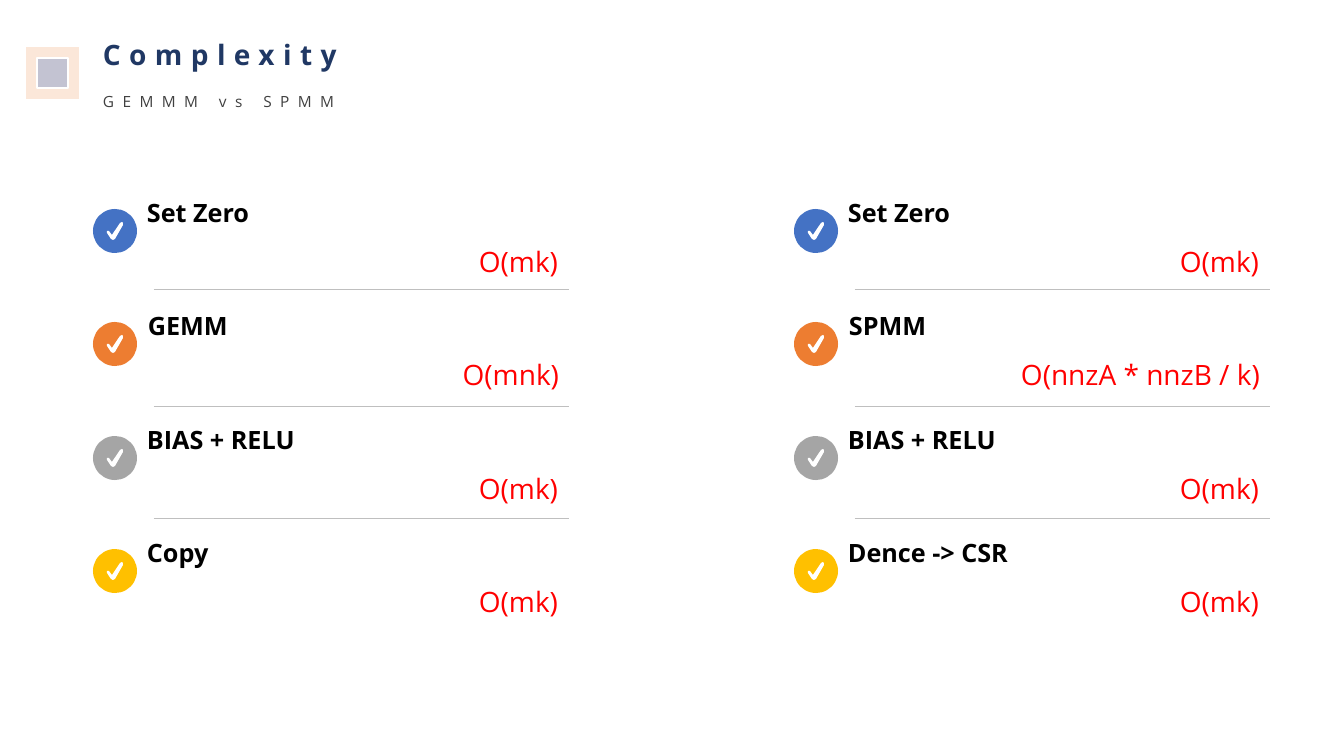
"""Build the complexity slide that compares GEMM with SPMM."""
from lxml import etree
from pptx import Presentation, util as u
from pptx.dml.color import RGBColor
from pptx.enum import shapes, text
from pptx.oxml.ns import qn

PX = 914400 / 100.8


def style(shape, fill, alpha=None):
    shape.shadow.inherit = False
    shape.fill.solid()
    shape.fill.fore_color.rgb = RGBColor.from_string(fill)
    shape.line.fill.background()
    if alpha:
        tint = shape.fill._xPr.find(".//" + qn("a:srgbClr"))
        etree.SubElement(tint, qn("a:alpha")).set("val", str(alpha * 1000))


def write(home, words, area, size, color, bold=False, low=False, right=False, lead=1.0, track=0):
    box = home.add_textbox(*[round(n * PX) for n in area])
    frame = box.text_frame
    frame.word_wrap = True
    frame.vertical_anchor = text.MSO_ANCHOR.BOTTOM if low else text.MSO_ANCHOR.TOP
    para = frame.paragraphs[0]
    run = para.add_run()
    run.text = words
    if track:
        run._r.get_or_add_rPr().set("spc", str(track * 100))
    para.alignment = text.PP_ALIGN.RIGHT if right else text.PP_ALIGN.LEFT
    para.line_spacing = lead
    font = para.font
    font.name, font.size, font.bold = "Open Sans", u.Pt(size), bold
    font.color.rgb = RGBColor.from_string(color)


deck = Presentation()
deck.slide_width, deck.slide_height = round(1344 * PX), round(756 * PX)
slide = deck.slides.add_slide(deck.slide_layouts[6])

head = slide.shapes.add_group_shape().shapes
for area, fill in [((25, 46, 55, 54), "F4B183"), ((37, 58, 31, 30), "4472C4")]:
    square = head.add_shape(shapes.MSO_SHAPE.RECTANGLE, *[round(n * PX) for n in area])
    style(square, fill, alpha=30)
    square.line.color.rgb = RGBColor.from_string("FFFFFF")
    square.line.width = u.Pt(2)
write(head, "Complexity", (93, 28, 370, 48), 20, "203864", bold=True, low=True, track=6)
write(head, "GEMMM vs SPMM", (93, 78, 370, 40), 11, "404040", lead=1.5, track=6)

colors = ["4472C4", "ED7D31", "A5A5A5", "FFC000"]
tick = [(20, 31), (18, 30), (14, 24), (14, 22), (16, 22), (19, 26),
        (27, 14), (29, 13), (30, 14), (30, 16), (22, 30)]
gemm = [("Set Zero", "O(mk)"), ("GEMM", "O(mnk)"), ("BIAS + RELU", "O(mk)"), ("Copy", "O(mk)")]
spmm = [("Set Zero", "O(mk)"), ("SPMM", "O(nnzA * nnzB / k)"),
        ("BIAS + RELU", "O(mk)"), ("Dence -> CSR", "O(mk)")]

for left, steps in [(794, spmm), (93, gemm)]:
    group = slide.shapes.add_group_shape().shapes
    for row, ((name, cost), color) in enumerate(zip(steps, colors)):
        top = 209 + row * 227 // 2
        x, y = round(left * PX), round(top * PX)
        disc = group.add_shape(shapes.MSO_SHAPE.OVAL, x, y, round(44 * PX), round(44 * PX))
        style(disc, color)
        pen = group.build_freeform(*tick[0], scale=PX)
        pen.add_line_segments(tick[1:], close=True)
        style(pen.convert_to_shape(x, y), "FFFFFF")
        start = left + (45 if row == 1 else 44)
        write(group, name, (start, top - 21, 431, 45), 18, "000000", bold=True, low=True)
        write(group, cost, (start, top + 24, 431, 41), 20, "FF0000", right=True, lead=1.2)
    for y in (289, 406, 518):
        rule = group.add_connector(shapes.MSO_CONNECTOR.STRAIGHT, round((left + 61) * PX),
                                   round(y * PX), round((left + 476) * PX), round(y * PX))
        rule.line.color.rgb = RGBColor.from_string("BFBFBF")
        rule.line.width = u.Pt(0.25)
        etree.SubElement(rule._element.spPr, qn("a:effectLst"))

deck.save("out.pptx")
